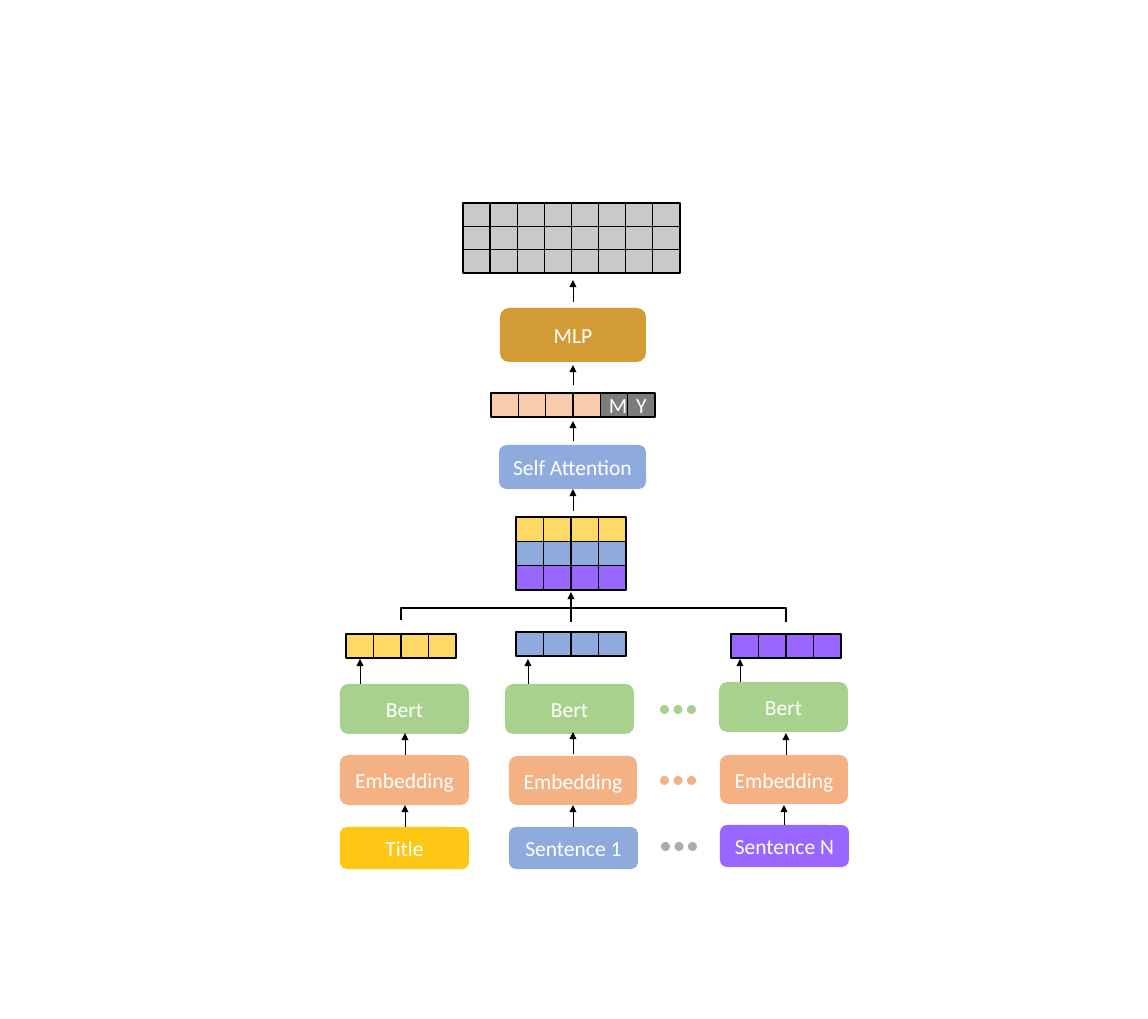
from dataclasses import dataclass

from lxml.etree import SubElement
from pptx import Presentation
from pptx.dml.color import RGBColor
from pptx.enum.shapes import MSO_CONNECTOR, MSO_SHAPE
from pptx.oxml.ns import qn
from pptx.util import Pt

PX = 914400 / 86.1


@dataclass(frozen=True)
class Theme:
    """Colours and type of the slide."""
    gold: str = "FFC715"
    yellow: str = "FFD966"
    blue: str = "8FAADC"
    purple: str = "9966FF"
    green: str = "A9D18E"
    orange: str = "F4B183"
    peach: str = "F8CBAD"
    ochre: str = "D39B35"
    silver: str = "C9C9C9"
    gray: str = "7C7C7C"
    ash: str = "AFABAB"
    white: str = "FFFFFF"
    black: str = "000000"
    font: str = "Calibri"
    size: int = 18


theme = Theme()


def add(home, kind, box, fill, text="", edge=False):
    """Add a filled shape, with a black edge for grid cells."""
    shape = home.add_shape(kind, *[round(n * PX) for n in box])
    shape.shadow.inherit = False
    shape.fill.solid()
    shape.fill.fore_color.rgb = RGBColor.from_string(fill)
    if edge:
        shape.line.color.rgb = RGBColor.from_string(theme.black)
        shape.line.width = Pt(1)
    else:
        shape.line.fill.background()
    if text:
        shape.text_frame.word_wrap = True
        para = shape.text_frame.paragraphs[0]
        para.text = text
        para.font.name = theme.font
        para.font.size = Pt(theme.size)
        para.font.color.rgb = RGBColor.from_string(theme.white)


def link(kind, ends, width=0.5):
    """Add a straight arrow, or an elbow that turns at its start."""
    line = slide.shapes.add_connector(kind, *[round(n * PX) for n in ends])
    line.line.color.rgb = RGBColor.from_string(theme.black)
    line.line.width = Pt(width)
    props = line.element.spPr
    if kind == MSO_CONNECTOR.STRAIGHT:
        SubElement(props.find(qn("a:ln")), qn("a:tailEnd"), type="triangle")
    else:
        turns = props.find(qn("a:prstGeom")).find(qn("a:avLst"))
        SubElement(turns, qn("a:gd"), name="adj1", fmla="val 0")
    SubElement(props, qn("a:effectLst"))


deck = Presentation()
deck.slide_width, deck.slide_height = round(1148 * PX), round(1019 * PX)
slide = deck.slides.add_slide(deck.slide_layouts[6])

# Model blocks, from the inputs up to the MLP
blocks = [
    ("Title", theme.gold, (340, 827, 129, 42)),
    ("Sentence 1", theme.blue, (509, 827, 129, 42)),
    ("Sentence N", theme.purple, (720, 825, 129, 42)),
    ("Embedding", theme.orange, (340, 755, 129, 50)),
    ("Embedding", theme.orange, (509, 756, 128, 49)),
    ("Embedding", theme.orange, (720, 755, 128, 49)),
    ("Bert", theme.green, (340, 684, 129, 50)),
    ("Bert", theme.green, (505, 684, 129, 50)),
    ("Bert", theme.green, (719, 682, 129, 50)),
    ("Self Attention", theme.blue, (499, 445, 147, 44)),
    ("MLP", theme.ochre, (500, 308, 146, 54)),
]
for text, fill, box in blocks:
    add(slide.shapes, MSO_SHAPE.ROUNDED_RECTANGLE, box, fill, text)

# Vectors and matrices: left, top, width, height, then one colour list a row
mixed = [theme.peach] * 4 + [theme.gray] * 2
grids = [
    (346, 634, 110, 24, [[theme.yellow] * 4]),
    (516, 632, 110, 24, [[theme.blue] * 4]),
    (731, 634, 110, 24, [[theme.purple] * 4]),
    (516, 517, 110, 73, [[hue] * 4 for hue in
                         (theme.yellow, theme.blue, theme.purple)]),
    (491, 393, 164, 24, [mixed]),
    (463, 203, 217, 70, [[theme.silver] * 8] * 3),
]
marks = {4: "M", 5: "Y"}
for left, top, width, height, rows in grids:
    group = slide.shapes.add_group_shape().shapes
    high = height / len(rows)
    for r, row in enumerate(rows):
        wide = width / len(row)
        for c, fill in enumerate(row):
            text = marks.get(c, "") if row is mixed else ""
            box = (left + c * wide, top + r * high, wide, high)
            add(group, MSO_SHAPE.RECTANGLE, box, fill, text, True)

# Dots that stand for the sentences between 1 and N
for left, top, fill in [(660, 705, theme.green), (660, 776, theme.orange),
                        (661, 842, theme.ash)]:
    group = slide.shapes.add_group_shape().shapes
    for step in range(3):
        add(group, MSO_SHAPE.OVAL, (left + step * 27 / 2, top, 9, 9), fill)

# Upward arrows: x, start, end
arrows = [
    (405, 827, 805), (573, 827, 805), (784, 825, 805),
    (405, 755, 733), (573, 754, 732), (786, 755, 733),
    (360, 684, 659), (528, 684, 659), (740, 682, 659),
    (573, 511, 489), (573, 441, 421), (573, 385, 365), (573, 302, 280),
]
for x, start, end in arrows:
    link(MSO_CONNECTOR.STRAIGHT, (x, start, x, end))

# Three vectors join into one matrix
link(MSO_CONNECTOR.STRAIGHT, (571, 622, 571, 592), 1)
for x, start in [(401, 620), (786, 622)]:
    link(MSO_CONNECTOR.ELBOW, (x, start, 571, 608), 1)

deck.save("out.pptx")
